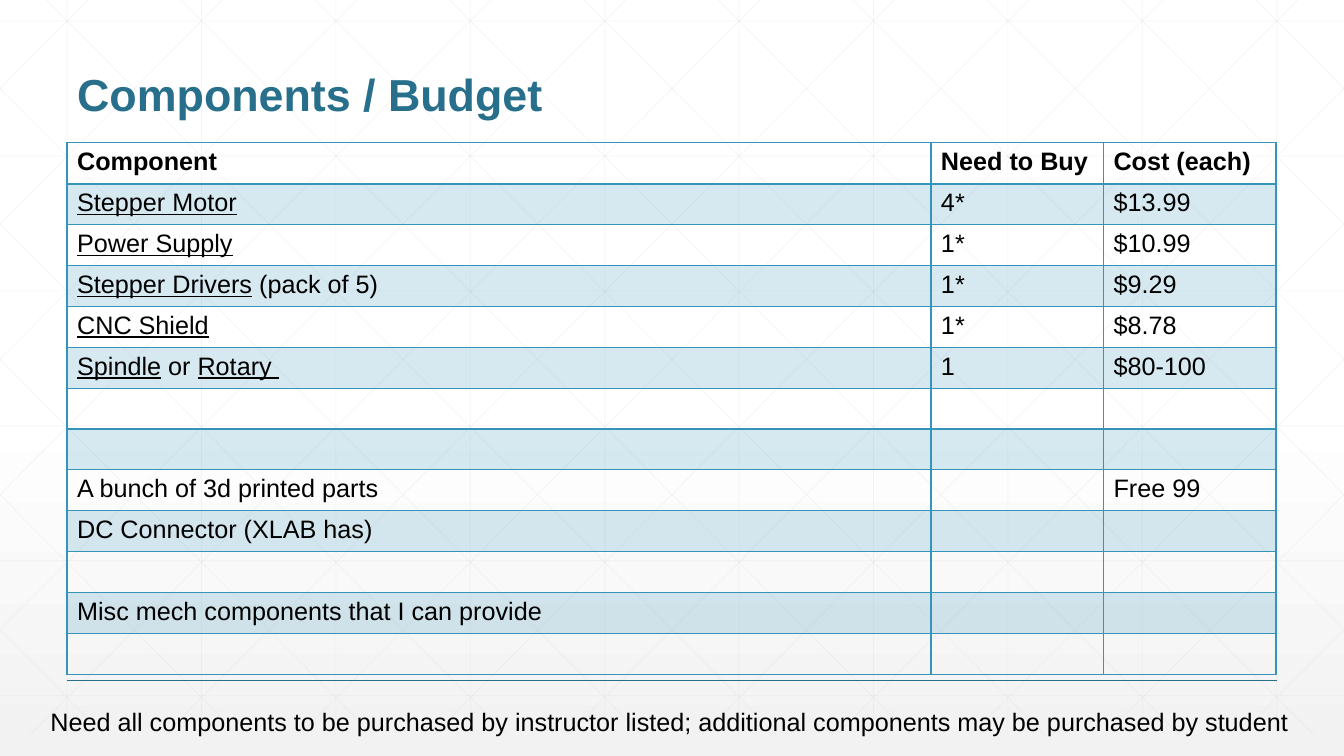
from lxml import etree
from pptx import Presentation
from pptx import util as u
from pptx.dml.color import RGBColor
from pptx.enum import shapes, text
from pptx.oxml import ns

Cm, Pt = u.Cm, u.Pt
TEAL = RGBColor(0x27, 0x6F, 0x8B)
BLUE = RGBColor(0x34, 0x94, 0xBA)
GRAY = RGBColor(0xD9, 0xD9, 0xD9)
PALE = RGBColor(0xF2, 0xF2, 0xF2)
WHITE = RGBColor(0xFF, 0xFF, 0xFF)
BLACK = RGBColor(0, 0, 0)

WIDTH, HEIGHT = 33.87, 19.05
MARGIN, PITCH = 1.69, 3.387
GRID_BOTTOM, SLOPE = 18.52, 1.007
COLUMNS = (21.77, 4.35, 4.35)
ROW_HEIGHT = 1.03
ROWS = [
    ("Component", "Need to Buy", "Cost (each)"),
    ("_Stepper Motor_", "4*", "$13.99"),
    ("_Power Supply_", "1*", "$10.99"),
    ("_Stepper Drivers_ (pack of 5)", "1*", "$9.29"),
    ("_CNC Shield_", "1*", "$8.78"),
    ("_Spindle_ or _Rotary _", "1", "$80-100"),
    ("", "", ""),
    ("", "", ""),
    ("A bunch of 3d printed parts", "", "Free 99"),
    ("DC Connector (XLAB has)", "", ""),
    ("", "", ""),
    ("Misc mech components that I can provide", "", ""),
    ("", "", ""),
]


def sub(parent, tag, **attrs):
    """Append a DrawingML child element."""
    return etree.SubElement(parent, ns.qn("a:" + tag), attrs)


def set_alpha(fill_parent, percent):
    """Make the solid colour below an element translucent."""
    color = next(fill_parent.iter(ns.qn("a:srgbClr")))
    sub(color, "alpha", val=str(percent * 1000))


class Deck:
    """Holds the style and the current slide."""

    font = "Arial"
    body_size = 18

    def __init__(self):
        """Start a wide presentation with one title-only slide."""
        self.prs = Presentation()
        self.prs.slide_width, self.prs.slide_height = Cm(WIDTH), Cm(HEIGHT)
        self.s = self.prs.slides.add_slide(self.prs.slide_layouts[5])

    def style(self, p, size, color, bold=False):
        """Set the font of a paragraph."""
        p.font.name, p.font.size, p.font.bold = self.font, Pt(size), bold
        p.font.color.rgb = color

    def background(self, stops):
        """Fill the slide with a downward gradient."""
        fill = self.s.background.fill
        fill.gradient()
        fill.gradient_angle = 270
        stop_list = next(self.s.element.iter(ns.qn("a:gsLst")))
        for stop in list(stop_list):
            stop_list.remove(stop)
        for pos, color in stops:
            sub(sub(stop_list, "gs", pos=str(pos * 1000)), "srgbClr", val=str(color))

    def line(self, x1, y1, x2, y2, color, width, alpha=100):
        """Draw a straight line between two points in centimetres."""
        sp = self.s.shapes.add_connector(
            shapes.MSO_CONNECTOR.STRAIGHT, Cm(x1), Cm(y1), Cm(x2), Cm(y2))
        sp.line.color.rgb, sp.line.width = color, Pt(width)
        if alpha < 100:
            set_alpha(sp.line._ln, alpha)
        sub(sp._element.spPr, "effectLst")

    def title(self, words, x, y, w, h):
        """Place and format the title above the backdrop."""
        sp = self.s.shapes.title
        self.s.shapes._spTree.append(sp._element)
        sp.left, sp.top, sp.width, sp.height = Cm(x), Cm(y), Cm(w), Cm(h)
        tf = sp.text_frame
        tf.text = words
        tf.vertical_anchor = text.MSO_ANCHOR.BOTTOM
        p = tf.paragraphs[0]
        p.alignment, p.line_spacing = text.PP_ALIGN.LEFT, 0.9
        self.style(p, 32, TEAL, bold=True)

    def label(self, words, x, y, w, h):
        """Add one line of body text."""
        sp = self.s.shapes.add_textbox(Cm(x), Cm(y), Cm(w), Cm(h))
        tf = sp.text_frame
        tf.word_wrap = False
        tf.text = words
        self.style(tf.paragraphs[0], self.body_size, BLACK)

    def cell(self, cell, words, header, banded, top, bottom):
        """Fill, border and write one cell; underscores enclose underlined text."""
        if banded:
            cell.fill.solid()
            cell.fill.fore_color.rgb = BLUE
            set_alpha(cell._tc.tcPr, 20)
        else:
            cell.fill.background()
        widths = {"lnL": 1, "lnR": 1, "lnT": top, "lnB": bottom}
        for i, (side, width) in enumerate(widths.items()):
            ln = sub(cell._tc.tcPr, side, w=str(Pt(width)))
            sub(sub(ln, "solidFill"), "srgbClr", val=str(BLUE))
            cell._tc.tcPr.insert(i, ln)
        p = cell.text_frame.paragraphs[0]
        self.style(p, self.body_size, BLACK, bold=header)
        for i, part in enumerate(words.split("_")):
            if part:
                r = p.add_run()
                r.text = part
                if i % 2:
                    r.font.underline = True

    def table(self, rows, columns, x, y):
        """Add a table with a bold header and tinted alternate rows."""
        tbl = self.s.shapes.add_table(
            len(rows), len(columns), Cm(x), Cm(y),
            Cm(sum(columns)), Cm(ROW_HEIGHT * len(rows))).table
        tbl.first_row = tbl.horz_banding = False
        for col, width in zip(tbl.columns, columns):
            col.width = Cm(width)
        for i, row in enumerate(rows):
            tbl.rows[i].height = Cm(ROW_HEIGHT)
            for j, words in enumerate(row):
                self.cell(tbl.cell(i, j), words, i == 0, i % 2 == 1,
                          2 if i == 1 else 1, 2 if i == 0 else 1)

    def grid(self):
        """Draw the faint square and diagonal lattice."""
        style = (GRAY, 0.5, 25)
        for i in range(10):
            x = MARGIN + PITCH * i
            self.line(x, 0, x, GRID_BOTTOM, *style)
        for i in range(6):
            y = 0.53 + 3.4 * i
            self.line(0, y, WIDTH, y, *style)
        for i in range(-5, 10):
            start = 1.17 + PITCH * i
            x1 = max(0, start)
            x2 = min(WIDTH, start + GRID_BOTTOM / SLOPE)
            y1, y2 = (x1 - start) * SLOPE, (x2 - start) * SLOPE
            self.line(x1, y1, x2, y2, *style)
            self.line(WIDTH - x1, y1, WIDTH - x2, y2, *style)


def main():
    """Build the budget slide."""
    deck = Deck()
    deck.background([(0, WHITE), (53, WHITE), (100, PALE)])
    deck.grid()
    deck.line(MARGIN, 17.15, MARGIN + 30.48, 17.15, TEAL, 1)
    deck.title("Components / Budget", MARGIN, 0.64, 30.48, 2.54)
    deck.table(ROWS, COLUMNS, MARGIN, 3.6)
    deck.label("Need all components to be purchased by instructor listed; "
               "additional components may be purchased by student",
               1.02, 17.68, 32, 1.02)
    deck.prs.save("out.pptx")


if __name__ == "__main__":
    main()
